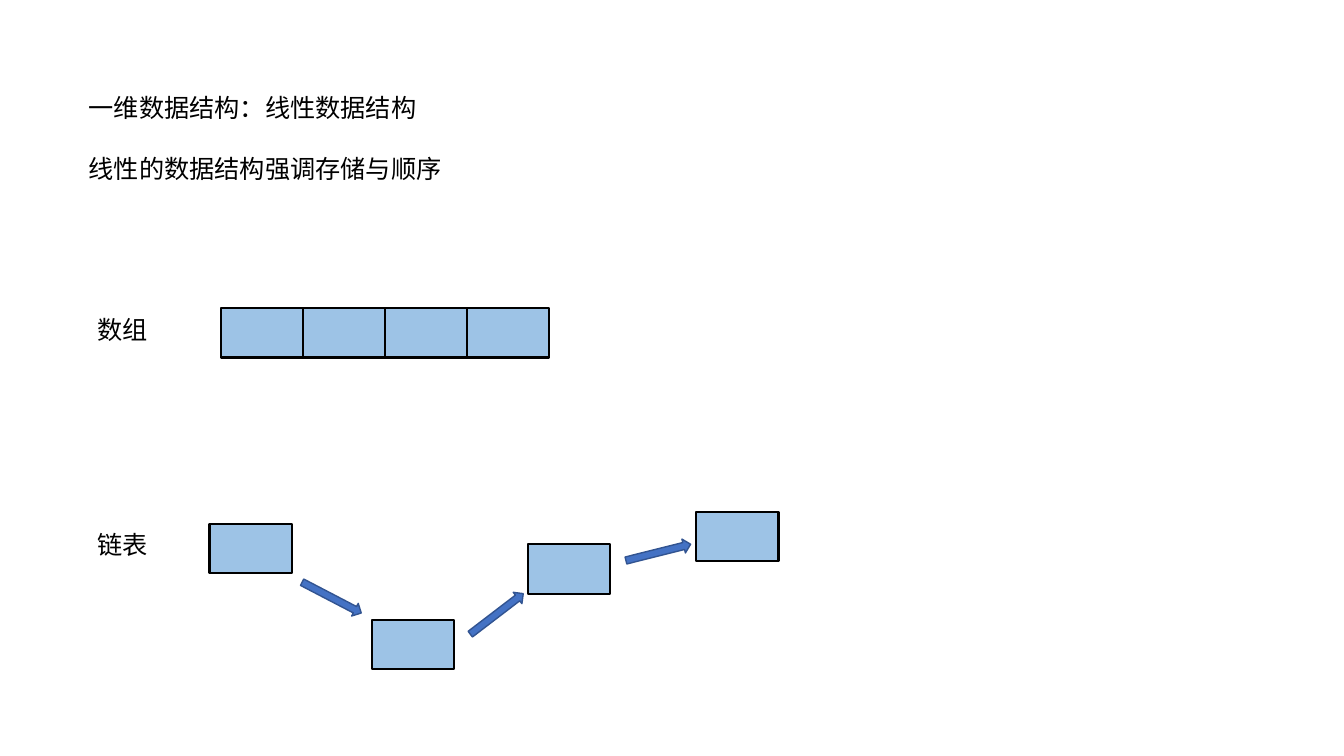
from dataclasses import dataclass

from lxml import etree
from pptx import Presentation
from pptx.dml.color import RGBColor
from pptx.enum.shapes import MSO_SHAPE
from pptx.enum.text import MSO_ANCHOR, MSO_AUTO_SIZE, PP_ALIGN
from pptx.oxml.ns import qn
from pptx.shapes.autoshape import Shape
from pptx.slide import Slide
from pptx.util import Cm, Pt

RECT = MSO_SHAPE.RECTANGLE
ARROW = MSO_SHAPE.RIGHT_ARROW
TOP = MSO_ANCHOR.TOP
NO_FIT = MSO_AUTO_SIZE.NONE
LEFT = PP_ALIGN.LEFT
TITLE_ONLY = 5


@dataclass(frozen=True)
class Theme:
    font: str = "Noto Sans CJK SC"
    size: Pt = Pt(18)
    line_height: Pt = Pt(22)
    heading_gap: Pt = Pt(21.6)
    ink: RGBColor = RGBColor(0x00, 0x00, 0x00)
    cell: RGBColor = RGBColor(0x9D, 0xC3, 0xE6)
    arrow: RGBColor = RGBColor(0x44, 0x72, 0xC4)
    arrow_edge: RGBColor = RGBColor(0x32, 0x54, 0x91)
    cell_edge_width: Pt = Pt(1.5)
    arrow_edge_width: Pt = Pt(1)


@dataclass(frozen=True)
class Label:
    text: str
    top: float


@dataclass(frozen=True)
class Cell:
    left: float
    top: float


@dataclass(frozen=True)
class Link:
    left: float
    top: float
    angle: float


THEME = Theme()
CELL_W, CELL_H = 2.07, 1.24
LINK_W, LINK_H = 1.68, 0.36
ARRAY_LEFT, ARRAY_TOP, ARRAY_LENGTH = 5.56, 7.77, 4
LIST_TOP = 13.21
LABEL_LEFT, LABEL_W, LABEL_H = 2.21, 2.9, 1.02

HEADING = ["一维数据结构：线性数据结构", "线性的数据结构强调存储与顺序"]
LABELS = [Label("数组", ARRAY_TOP), Label("链表", LIST_TOP)]
ARRAY = [Cell(ARRAY_LEFT + i * CELL_W, ARRAY_TOP) for i in range(ARRAY_LENGTH)]
NODES = [Cell(5.28, LIST_TOP), Cell(9.37, 15.62),
         Cell(13.31, 13.72), Cell(17.55, 12.9)]
LINKS = [Link(7.52, 14.88, 27.5), Link(11.68, 15.29, 322.6),
         Link(15.75, 13.74, 345.9)]


def write_text(s: Shape, lines: list[str]) -> None:
    tf = s.text_frame
    tf.word_wrap = True
    tf.auto_size = NO_FIT
    tf.vertical_anchor = TOP
    for i, line in enumerate(lines):
        p = tf.add_paragraph() if i else tf.paragraphs[0]
        p.alignment = LEFT
        p.line_spacing = THEME.line_height
        p.space_before = THEME.heading_gap if i else Pt(0)
        r = p.add_run()
        r.text = line
        r.font.size = THEME.size
        r.font.name = THEME.font
        r.font.color.rgb = THEME.ink
        ea = etree.SubElement(r.font._element, qn("a:ea"))
        ea.set("typeface", THEME.font)


def add_heading(slide: Slide) -> None:
    s = slide.shapes.title
    s.left, s.top, s.width, s.height = Cm(1.98), Cm(2.18), Cm(10.03), Cm(2.57)
    write_text(s, HEADING)


def add_label(slide: Slide, label: Label) -> None:
    s = slide.shapes.add_textbox(
        Cm(LABEL_LEFT), Cm(label.top), Cm(LABEL_W), Cm(LABEL_H))
    write_text(s, [label.text])


def paint(s: Shape, fill: RGBColor, edge: RGBColor, width: Pt) -> None:
    s.shadow.inherit = False
    s.fill.solid()
    s.fill.fore_color.rgb = fill
    s.line.color.rgb = edge
    s.line.width = width


def add_cell(slide: Slide, cell: Cell) -> None:
    s = slide.shapes.add_shape(
        RECT, Cm(cell.left), Cm(cell.top), Cm(CELL_W), Cm(CELL_H))
    paint(s, THEME.cell, THEME.ink, THEME.cell_edge_width)


def add_link(slide: Slide, link: Link) -> None:
    s = slide.shapes.add_shape(
        ARROW, Cm(link.left), Cm(link.top), Cm(LINK_W), Cm(LINK_H))
    s.rotation = link.angle
    paint(s, THEME.arrow, THEME.arrow_edge, THEME.arrow_edge_width)


def main() -> None:
    prs = Presentation()
    prs.slide_width, prs.slide_height = Cm(33.87), Cm(19.05)
    slide = prs.slides.add_slide(prs.slide_layouts[TITLE_ONLY])
    add_heading(slide)
    for label in LABELS:
        add_label(slide, label)
    for cell in ARRAY + NODES:
        add_cell(slide, cell)
    for link in LINKS:
        add_link(slide, link)
    prs.save("out.pptx")


if __name__ == "__main__":
    main()
